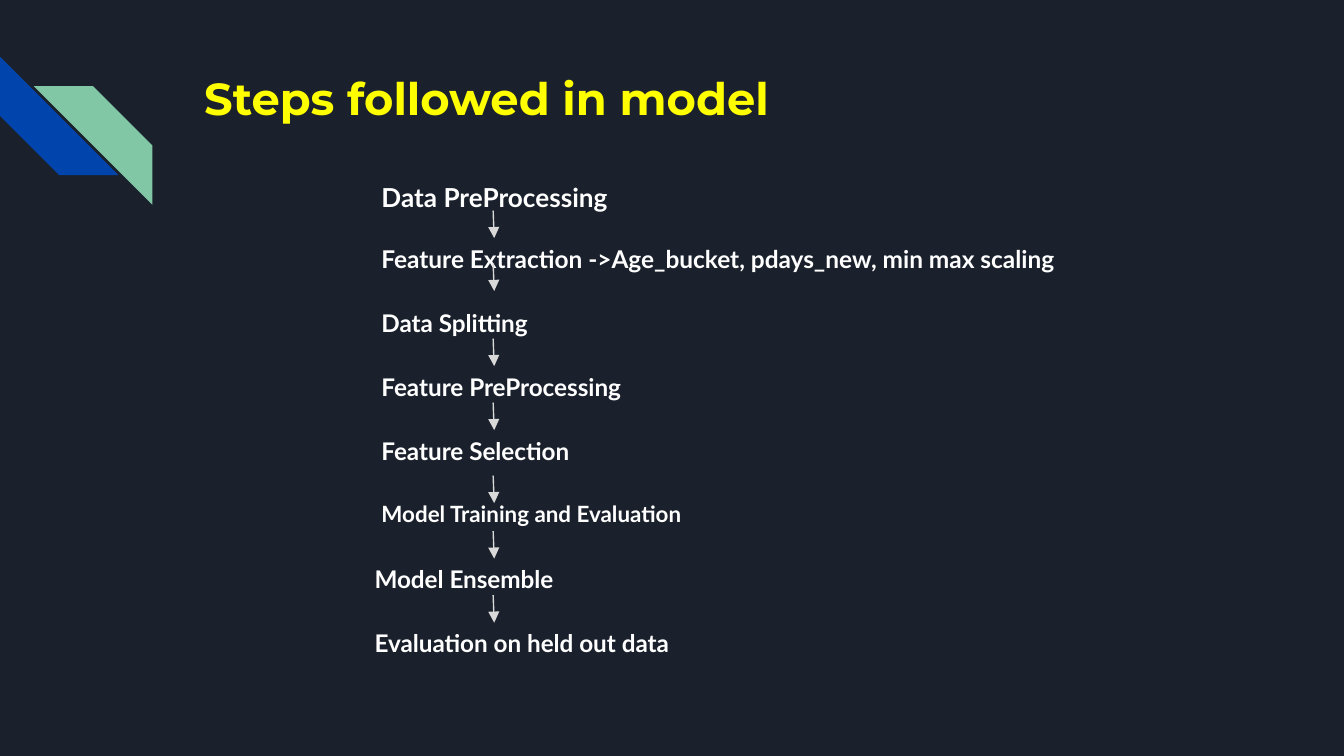
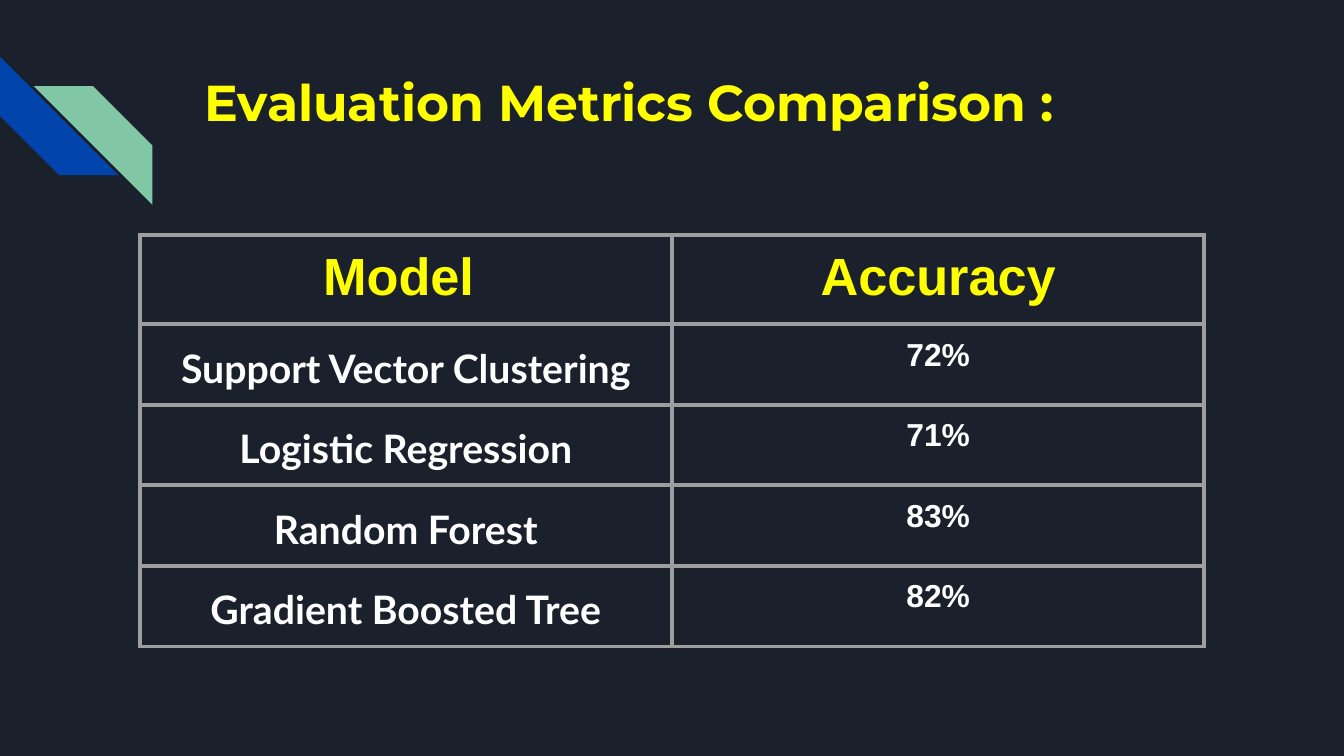
from dataclasses import dataclass

from lxml import etree
from pptx import Presentation
from pptx.dml.color import RGBColor
from pptx.enum.shapes import MSO_CONNECTOR, MSO_SHAPE
from pptx.enum.text import MSO_ANCHOR, PP_ALIGN
from pptx.oxml.ns import qn
from pptx.util import Cm, Pt

DIAGONAL_STRIPE = MSO_SHAPE.DIAGONAL_STRIPE
STRAIGHT = MSO_CONNECTOR.STRAIGHT
TOP = MSO_ANCHOR.TOP
CENTER = PP_ALIGN.CENTER

NAVY, BLUE, GREEN = "1B212C", "0145AC", "82C7A5"
YELLOW, WHITE, LIGHT_GRAY, GRAY = "FFFF00", "FFFFFF", "D9D9D9", "9E9E9E"
INSET = Cm(0.25)


@dataclass(frozen=True)
class TextStyle:
    font: str
    size: float
    color: str
    line_spacing: float = 1.0
    space_after: float = 0


@dataclass(frozen=True)
class Stripe:
    left: float
    top: float
    rotation: int
    color: str


@dataclass(frozen=True)
class Step:
    text: str
    size: float = 13
    left: float = 6.96
    width: float = 6.3


STRIPES = (Stripe(0, 1.07, 270, BLUE), Stripe(0.64, 1.63, 90, GREEN))
STRIPE_SIZE = 2.24

FIRST_STEP = Step("Data PreProcessing", 14, width=5.36)
FIRST_STEP_TOP = 3.18
NEXT_STEPS = (
    Step("Feature Extraction ->Age_bucket, pdays_new, min max scaling", 13.1, width=13.41),
    Step("Data Splitting"),
    Step("Feature PreProcessing"),
    Step("Feature Selection"),
    Step("Model Training and Evaluation", 12),
    Step("Model Ensemble", left=6.83),
    Step("Evaluation on held out data", left=6.83),
)
NEXT_STEPS_TOP = 4.29
STEP_PITCH = 1.21
STEP_HEIGHT = 1.12

ARROW_LEFT = 9.32
ARROW_LENGTH = 0.52
ARROW_TOPS = (3.98, 4.98, 6.4, 7.61, 8.99, 10.04, 11.25)

HEADINGS = ("Model ", "Accuracy")
ACCURACIES = (
    ("Support Vector Clustering", "72%"),
    ("Logistic Regression", "71%"),
    ("Random Forest", "83%"),
    ("Gradient Boosted Tree", "82%"),
)
HEADING_STYLE = TextStyle("Arial", 28, YELLOW)
MODEL_STYLE = TextStyle("Lato", 21, WHITE, 1.15, 12)
ACCURACY_STYLE = TextStyle("Arial", 17, WHITE)
COLUMN_WIDTH = 10.06
ROW_HEIGHT = 1.07


def rgb(color: str) -> RGBColor:
    return RGBColor.from_string(color)


def format_paragraph(paragraph, style: TextStyle) -> None:
    paragraph.line_spacing = style.line_spacing
    paragraph.space_after = Pt(style.space_after)
    for run in paragraph.runs:
        run.font.name = style.font
        run.font.size = Pt(style.size)
        run.font.bold = True
        run.font.color.rgb = rgb(style.color)


def add_text(slide, text: str, style: TextStyle,
             left: float, top: float, width: float, height: float) -> None:
    text_frame = slide.shapes.add_textbox(Cm(left), Cm(top), Cm(width), Cm(height)).text_frame
    text_frame.word_wrap = True
    text_frame.vertical_anchor = TOP
    text_frame.margin_left = text_frame.margin_right = INSET
    text_frame.margin_top = text_frame.margin_bottom = INSET
    text_frame.text = text
    format_paragraph(text_frame.paragraphs[0], style)


def add_stripe(slide, stripe: Stripe) -> None:
    shape = slide.shapes.add_shape(DIAGONAL_STRIPE, Cm(stripe.left), Cm(stripe.top),
                                   Cm(STRIPE_SIZE), Cm(STRIPE_SIZE))
    shape.adjustments[0] = 0.5
    shape.rotation = stripe.rotation
    shape.shadow.inherit = False
    shape.fill.solid()
    shape.fill.fore_color.rgb = rgb(stripe.color)
    shape.line.fill.background()


def add_titled_slide(presentation, title: str, title_size: float):
    """Add a blank-layout slide with the corner stripes and the title."""
    slide = presentation.slides.add_slide(presentation.slide_layouts[6])
    for stripe in STRIPES:
        add_stripe(slide, stripe)
    add_text(slide, title, TextStyle("Montserrat", title_size, YELLOW), 3.61, 1.09, 19.56, 2.54)
    return slide


def add_step(slide, step: Step, top: float, line_spacing: float, space_after: float) -> None:
    style = TextStyle("Lato", step.size, WHITE, line_spacing, space_after)
    add_text(slide, step.text, style, step.left, top, step.width, STEP_HEIGHT)


def add_arrow(slide, top: float) -> None:
    arrow = slide.shapes.add_connector(STRAIGHT, Cm(ARROW_LEFT), Cm(top),
                                       Cm(ARROW_LEFT + 0.02), Cm(top + ARROW_LENGTH))
    arrow.line.color.rgb = rgb(LIGHT_GRAY)
    arrow.line.width = Pt(0.75)
    etree.SubElement(arrow.line._get_or_add_ln(), qn("a:tailEnd"), type="triangle")
    etree.SubElement(arrow._element.spPr, qn("a:effectLst"))


def add_borders(cell) -> None:
    properties = cell._tc.get_or_add_tcPr()
    for side in ("L", "R", "T", "B"):
        border = etree.SubElement(properties, qn(f"a:ln{side}"), w=str(Pt(2.25)))
        fill = etree.SubElement(border, qn("a:solidFill"))
        etree.SubElement(fill, qn("a:srgbClr"), val=GRAY)


def fill_cell(cell, text: str, style: TextStyle) -> None:
    add_borders(cell)
    cell.fill.background()
    cell.margin_left = cell.margin_right = cell.margin_top = cell.margin_bottom = INSET
    cell.vertical_anchor = TOP
    cell.text = text
    paragraph = cell.text_frame.paragraphs[0]
    paragraph.alignment = CENTER
    format_paragraph(paragraph, style)


def build_steps_slide(presentation) -> None:
    slide = add_titled_slide(presentation, "Steps followed in model", 24)
    add_step(slide, FIRST_STEP, FIRST_STEP_TOP, 1.0, 0)
    for index, step in enumerate(NEXT_STEPS):
        add_step(slide, step, NEXT_STEPS_TOP + index * STEP_PITCH, 1.15, 12)
    for top in ARROW_TOPS:
        add_arrow(slide, top)


def build_metrics_slide(presentation) -> None:
    slide = add_titled_slide(presentation, "Evaluation Metrics Comparison :", 27)
    rows = (HEADINGS, *ACCURACIES)
    table = slide.shapes.add_table(len(rows), len(HEADINGS), Cm(2.64), Cm(4.44),
                                   Cm(COLUMN_WIDTH * len(HEADINGS)),
                                   Cm(ROW_HEIGHT * len(rows))).table
    table.first_row = table.horz_banding = False
    for row_index, row in enumerate(rows):
        styles = (MODEL_STYLE, ACCURACY_STYLE) if row_index else (HEADING_STYLE, HEADING_STYLE)
        for column_index, (text, style) in enumerate(zip(row, styles)):
            fill_cell(table.cell(row_index, column_index), text, style)


def main() -> None:
    presentation = Presentation()
    presentation.slide_width = Cm(25.4)
    presentation.slide_height = Cm(14.29)
    background = presentation.slide_master.background.fill
    background.solid()
    background.fore_color.rgb = rgb(NAVY)
    build_steps_slide(presentation)
    build_metrics_slide(presentation)
    presentation.save("out.pptx")


if __name__ == "__main__":
    main()
